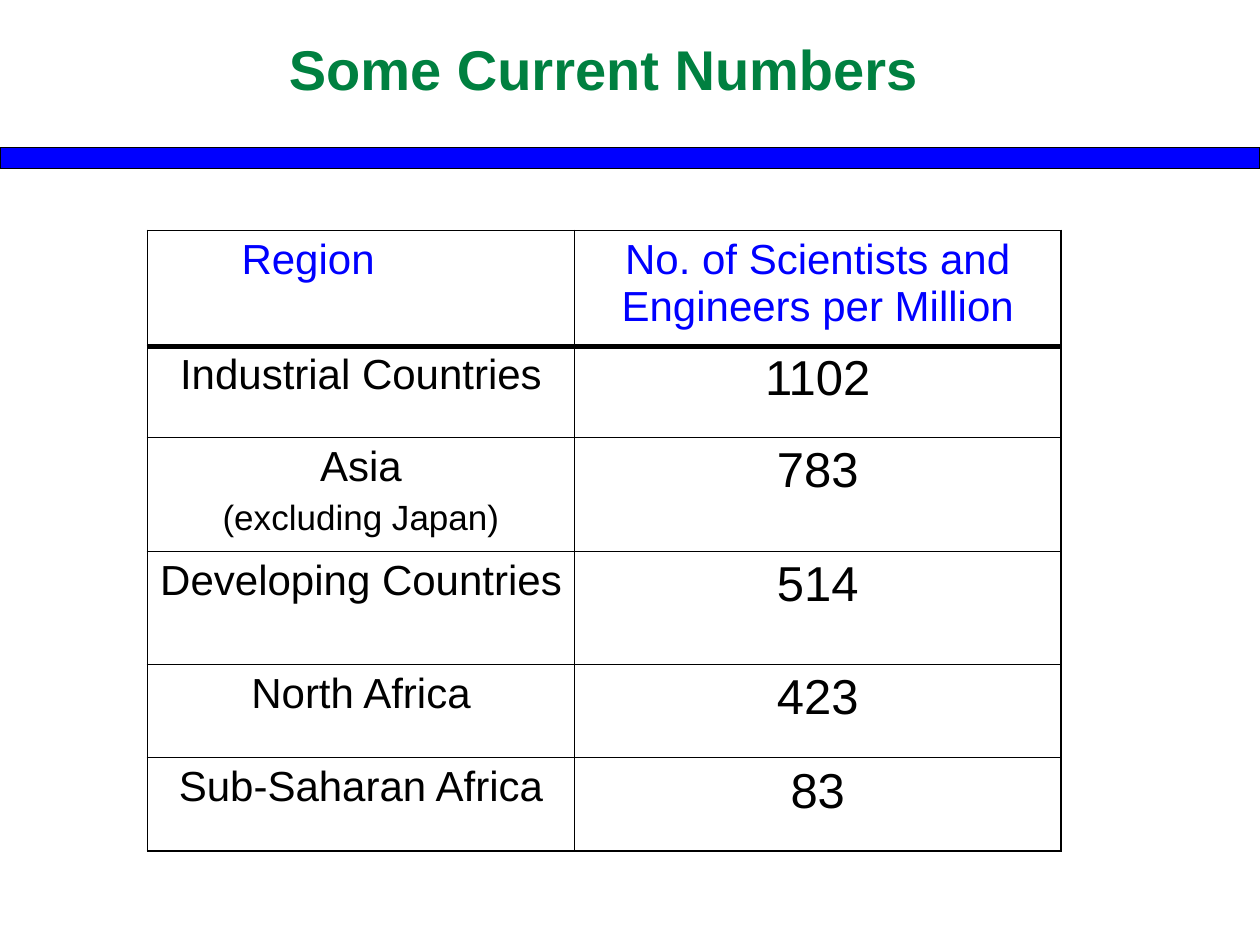
from lxml import etree
from pptx import Presentation
from pptx.dml.color import RGBColor
from pptx.enum.shapes import MSO_CONNECTOR as CONN, MSO_SHAPE as SHAPE
from pptx.enum.text import MSO_ANCHOR as ANCHOR, PP_ALIGN as ALIGN
from pptx.oxml import parse_xml
from pptx.oxml.ns import nsdecls, qn
from pptx.util import Inches, Pt

COLORS = {"title": "008040", "blue": "0000FF", "black": "000000"}
FONT = "Arial"
THIN, OUTER = 0.45, 1.08

LEFT, TOP = 1.17, 1.83
COL_WIDTHS = [3.39, 3.86]
ROW_HEIGHTS = [0.91, 0.73, 0.9, 0.9, 0.74, 0.74]
HEADERS = ["Region", "No. of Scientists and Engineers per Million"]
REGIONS = [
    (["Industrial Countries"], "1102"),
    (["Asia", "(excluding Japan)"], "783"),
    (["Developing Countries"], "514"),
    (["North Africa"], "423"),
    (["Sub-Saharan Africa"], "83"),
]


def rgb(name):
    return RGBColor.from_string(COLORS[name])


def add_run(p, text, size, color, bold=False):
    p.alignment = ALIGN.CENTER
    r = p.add_run()
    r.text = text
    r.font.name, r.font.size, r.font.bold = FONT, Pt(size), bold
    r.font.color.rgb = rgb(color)


def add_title(s, text):
    tf = s.shapes.add_textbox(Inches(1.58), Inches(0.08), Inches(6.42), Inches(0.92)).text_frame
    tf.word_wrap = True
    tf.vertical_anchor = ANCHOR.MIDDLE
    add_run(tf.paragraphs[0], text, 32, "title", bold=True)


def add_bar(s):
    sp = s.shapes.add_shape(SHAPE.RECTANGLE, 0, Inches(1.17), Inches(10), Inches(0.17))
    sp.shadow.inherit = False
    sp.fill.solid()
    sp.fill.fore_color.rgb = rgb("blue")
    sp.line.color.rgb = rgb("black")
    sp.line.width = Pt(0.75)


def add_rule(s, x1, x2, y):
    line = s.shapes.add_connector(CONN.STRAIGHT, Inches(x1), Inches(y), Inches(x2), Inches(y))
    line.line.color.rgb = rgb("black")
    line.line.width = Pt(3)
    etree.SubElement(line._element.spPr, qn("a:effectLst"))


def set_borders(cell, widths):
    """Widths in points, in the order left, right, top, bottom."""
    tc_pr = cell._tc.get_or_add_tcPr()
    for i, (side, width) in enumerate(zip("LRTB", widths)):
        tc_pr.insert(i, parse_xml(
            f'<a:ln{side} {nsdecls("a")} w="{Pt(width)}"><a:solidFill>'
            f'<a:srgbClr val="{COLORS["black"]}"/></a:solidFill></a:ln{side}>'))


def fill_cell(cell, lines, color="black"):
    """Each line is a (text, size) pair."""
    cell.margin_left = cell.margin_right = Inches(0.09)
    cell.fill.background()
    tf = cell.text_frame
    for i, (text, size) in enumerate(lines):
        p = tf.add_paragraph() if i else tf.paragraphs[0]
        if i:
            p.space_before = Pt(5)
        add_run(p, text, size, color)


def add_region_table(s):
    n_rows, n_cols = len(ROW_HEIGHTS), len(COL_WIDTHS)
    table = s.shapes.add_table(n_rows, n_cols, Inches(LEFT), Inches(TOP),
                               Inches(sum(COL_WIDTHS)), Inches(sum(ROW_HEIGHTS))).table
    table.first_row = table.horz_banding = False
    for col, width in zip(table.columns, COL_WIDTHS):
        col.width = Inches(width)
    for row, height in zip(table.rows, ROW_HEIGHTS):
        row.height = Inches(height)

    # Text
    for c, header in enumerate(HEADERS):
        fill_cell(table.cell(0, c), [(header, 24)], "blue")
    table.cell(0, 0).margin_right = Inches(0.93)  # heading sits left of centre
    for r, (names, number) in enumerate(REGIONS, 1):
        fill_cell(table.cell(r, 0), list(zip(names, (24, 20))))
        fill_cell(table.cell(r, 1), [(number, 28)])

    # Borders: heavier around the outside
    for r in range(n_rows):
        for c in range(n_cols):
            edges = (c == 0, c == n_cols - 1, r == 0, r == n_rows - 1)
            set_borders(table.cell(r, c), [OUTER if edge else THIN for edge in edges])


def main():
    prs = Presentation()
    prs.slide_width, prs.slide_height = Inches(10), Inches(7.5)
    s = prs.slides.add_slide(prs.slide_layouts[6])
    add_bar(s)
    add_title(s, "Some Current Numbers")
    add_region_table(s)
    # Heavy line below the header row
    add_rule(s, LEFT, LEFT + sum(COL_WIDTHS), 2.75)
    prs.save("out.pptx")


if __name__ == "__main__":
    main()
